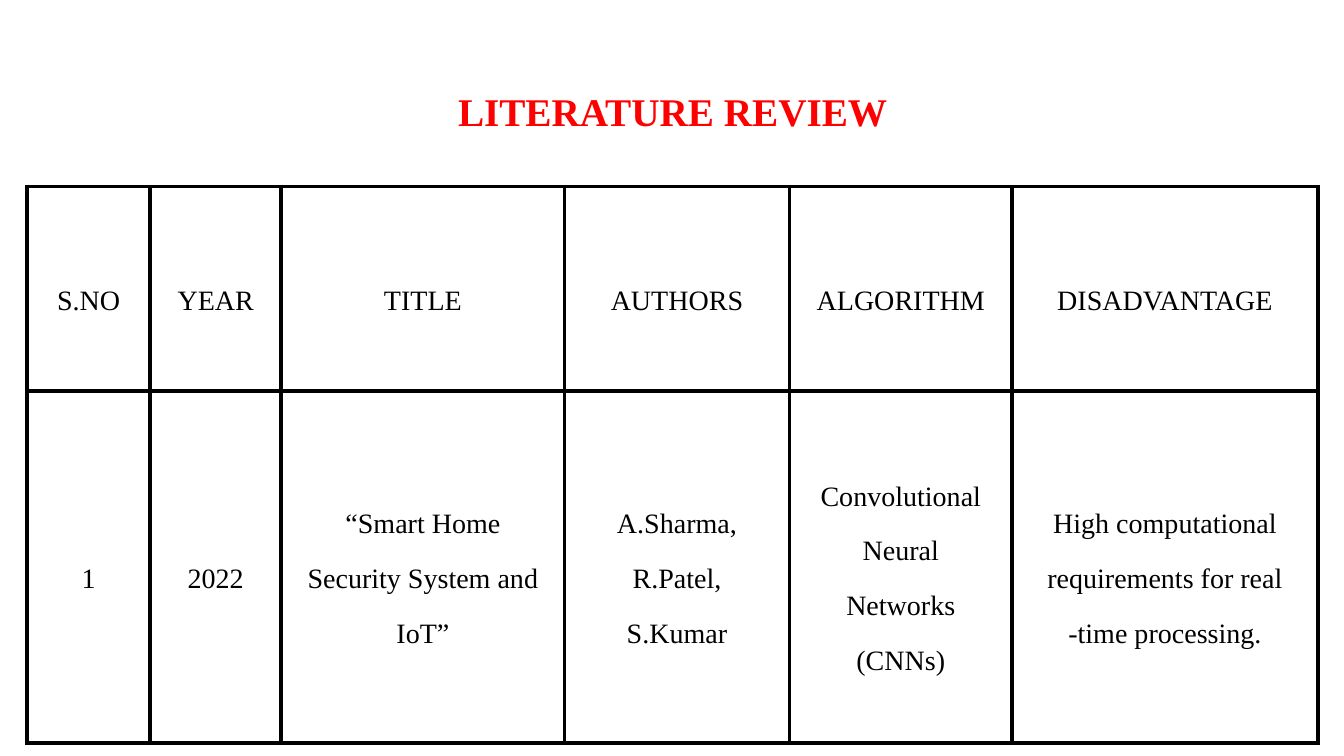
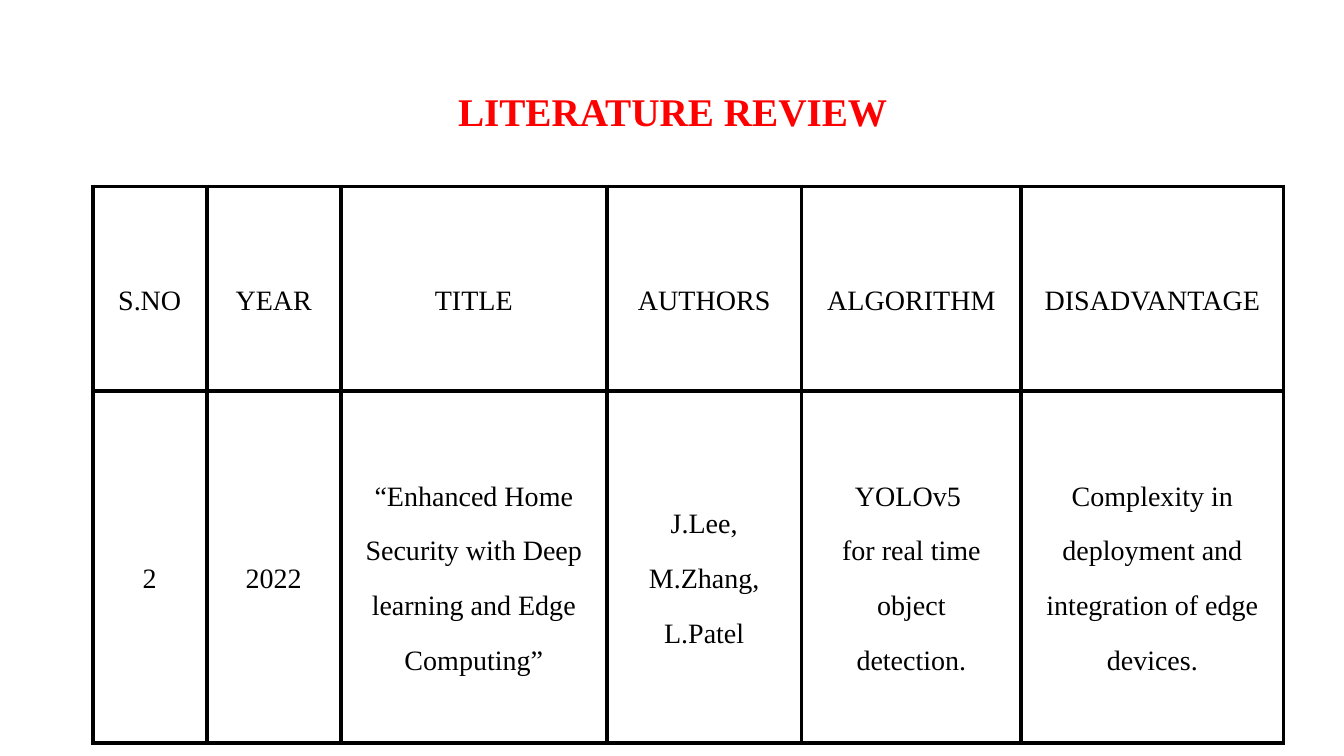
from dataclasses import dataclass
from typing import Any

from lxml.etree import SubElement
from pptx import Presentation
from pptx.dml.color import RGBColor
from pptx.enum.text import MSO_ANCHOR, PP_ALIGN
from pptx.oxml.ns import qn
from pptx.slide import Slide
from pptx.table import _Cell
from pptx.text.text import TextFrame
from pptx.util import Inches, Pt

RED = RGBColor(0xFF, 0x00, 0x00)
BLACK = RGBColor(0x00, 0x00, 0x00)
FONT = "Times New Roman"
PAGE_WIDTH, PAGE_HEIGHT = Inches(13.33), Inches(7.5)
TABLE_TOP = Inches(1.85)
ROW_HEIGHTS = (2.03, 3.49)
BORDER_WIDTH = Pt(3)
BORDER_SIDES = ("a:lnL", "a:lnR", "a:lnT", "a:lnB")
HEADINGS = ("S.NO", "YEAR", "TITLE", "AUTHORS", "ALGORITHM", "DISADVANTAGE")

TITLE_FONT = {"name": FONT, "size": Pt(28), "bold": True}
CELL_FONT = {"name": FONT, "size": Pt(20), "bold": False}
TITLE_PARAGRAPH = {"alignment": PP_ALIGN.CENTER, "line_spacing": 0.9}
CELL_PARAGRAPH = {"alignment": PP_ALIGN.CENTER, "line_spacing": Pt(39.2)}
CELL_FORMAT = {
    "vertical_anchor": MSO_ANCHOR.MIDDLE,
    **{f"margin_{side}": Inches(0.21) for side in ("left", "right", "top", "bottom")},
}


@dataclass(frozen=True)
class Review:
    left: float
    column_widths: tuple[float, ...]
    entry: tuple[str, ...]


REVIEWS = (
    Review(
        0.27,
        (1.22, 1.3, 2.81, 2.23, 2.21, 3.03),
        (
            "1",
            "2022",
            "“Smart Home Security System and IoT”",
            "A.Sharma,\nR.Patel,\nS.Kumar",
            "Convolutional Neural Networks\n(CNNs)",
            "High computational requirements for real -time processing.",
        ),
    ),
    Review(
        0.92,
        (1.13, 1.33, 2.64, 1.93, 2.18, 2.6),
        (
            "2",
            "2022",
            "“Enhanced Home Security with Deep learning and Edge Computing”",
            "J.Lee,\nM.Zhang,\nL.Patel",
            "YOLOv5 \nfor real time object detection.",
            "Complexity in deployment and integration of edge devices.",
        ),
    ),
)


def apply_format(target: Any, values: dict[str, Any]) -> None:
    for name, value in values.items():
        setattr(target, name, value)


def write_text(
    frame: TextFrame,
    text: str,
    para_format: dict[str, Any],
    font_format: dict[str, Any],
    color: RGBColor,
) -> None:
    frame.text = text
    for para in frame.paragraphs:
        apply_format(para, para_format)
        for span in para.runs:
            apply_format(span.font, font_format)
            span.font.color.rgb = color


def draw_borders(cell: _Cell) -> None:
    properties = cell._tc.get_or_add_tcPr()
    for side in BORDER_SIDES:
        line = SubElement(properties, qn(side), w=str(BORDER_WIDTH))
        fill = SubElement(line, qn("a:solidFill"))
        SubElement(fill, qn("a:srgbClr"), val=str(BLACK))


def add_title(page: Slide) -> None:
    box = page.shapes.add_textbox(Inches(0.92), Inches(0.4), Inches(11.5), Inches(1.45))
    apply_format(box.text_frame, {"word_wrap": True, "vertical_anchor": MSO_ANCHOR.MIDDLE})
    write_text(box.text_frame, "LITERATURE REVIEW", TITLE_PARAGRAPH, TITLE_FONT, RED)


def add_review_table(page: Slide, review: Review) -> None:
    rows = (HEADINGS, review.entry)
    table = page.shapes.add_table(
        len(rows),
        len(HEADINGS),
        Inches(review.left),
        TABLE_TOP,
        Inches(sum(review.column_widths)),
        Inches(sum(ROW_HEIGHTS)),
    ).table
    apply_format(table, {"first_row": False, "horz_banding": False})
    for column, width in zip(table.columns, review.column_widths):
        column.width = Inches(width)
    for row, height, texts in zip(table.rows, ROW_HEIGHTS, rows):
        row.height = Inches(height)
        for cell, text in zip(row.cells, texts):
            apply_format(cell, CELL_FORMAT)
            draw_borders(cell)
            cell.fill.background()
            write_text(cell.text_frame, text, CELL_PARAGRAPH, CELL_FONT, BLACK)


def main() -> None:
    deck = Presentation()
    apply_format(deck, {"slide_width": PAGE_WIDTH, "slide_height": PAGE_HEIGHT})
    for review in REVIEWS:
        page = deck.slides.add_slide(deck.slide_layouts[6])
        add_title(page)
        add_review_table(page, review)
    deck.save("out.pptx")


if __name__ == "__main__":
    main()
